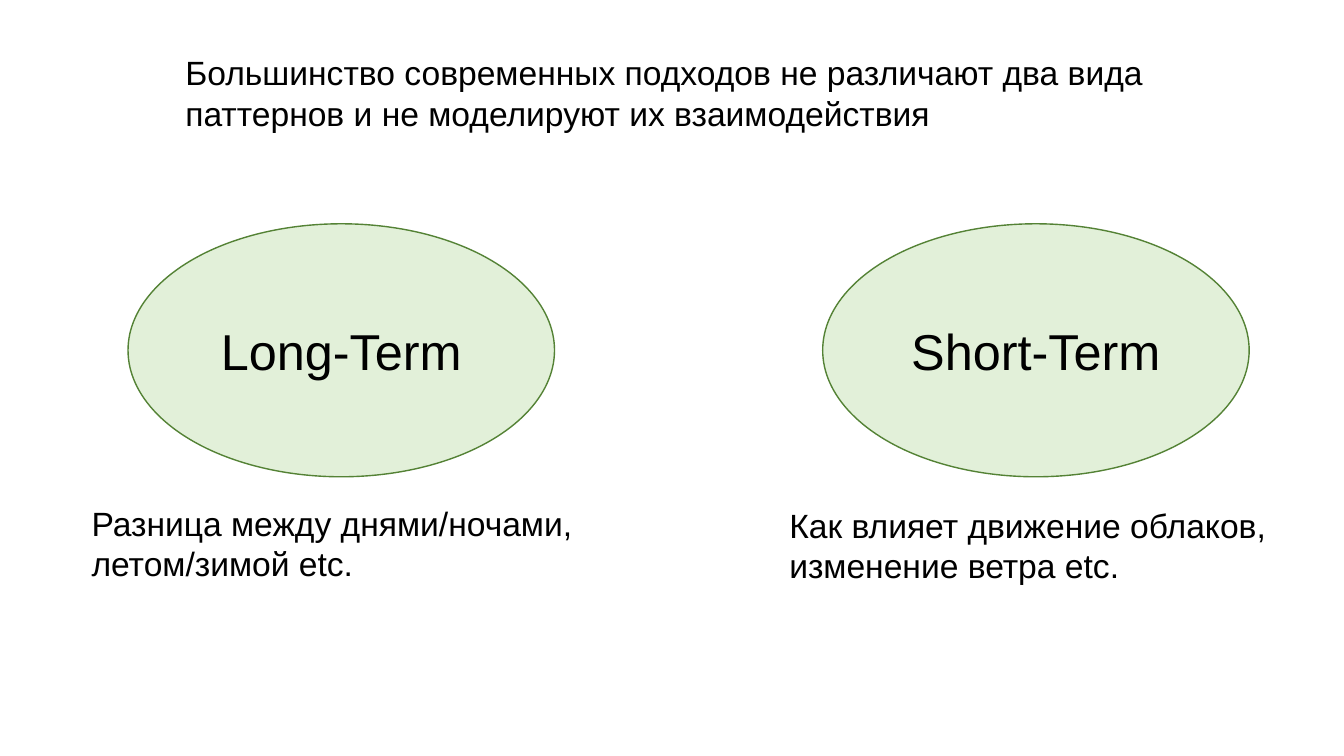
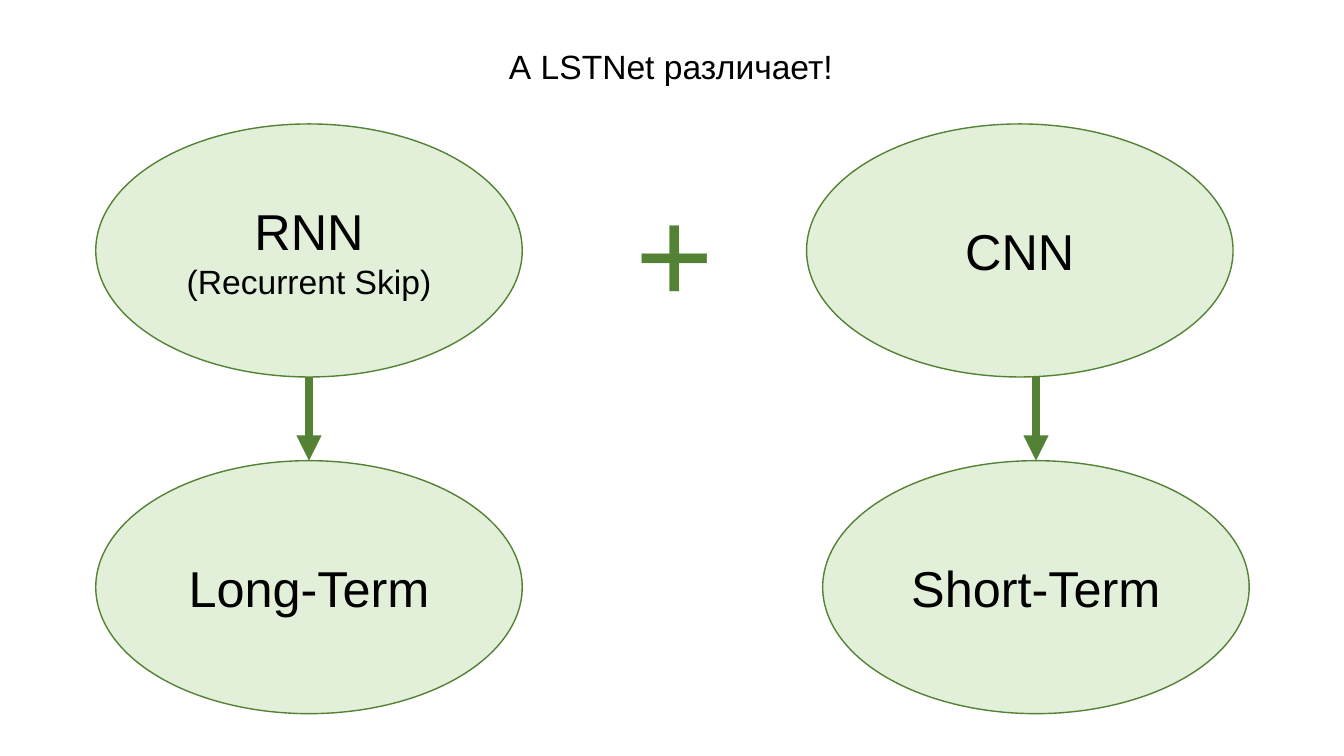
from lxml.etree import SubElement
from pptx import Presentation
from pptx.dml.color import RGBColor
from pptx.enum.shapes import MSO_CONNECTOR, MSO_SHAPE
from pptx.enum.text import MSO_ANCHOR, PP_ALIGN
from pptx.oxml.ns import qn
from pptx.util import Inches, Pt

COLORS = {"ink": "000000", "paper": "FFFFFF", "pale": "E2F0D9", "green": "548235"}
FONT = "Arial"
BODY, HEAD, SIGN = 24, 36, 96
OVAL_W, OVAL_H = 4.23, 2.51
LEFT, RIGHT = 0.95, 8.16


def color(name):
    """Return the named colour."""
    return RGBColor.from_string(COLORS[name])


def add_run(para, text, size, ink="ink"):
    """Add one styled run to a paragraph."""
    run = para.add_run()
    run.text = text
    run.font.name = FONT
    run.font.size = Pt(size)
    run.font.color.rgb = color(ink)


def add_page(deck):
    """Add a blank slide with the shared background."""
    slide = deck.slides.add_slide(deck.slide_layouts[6])
    slide.background.fill.solid()
    slide.background.fill.fore_color.rgb = color("paper")
    return slide


def add_text(slide, text, x, y, w, h, size=BODY, ink="ink"):
    """Add a wrapped text box."""
    box = slide.shapes.add_textbox(Inches(x), Inches(y), Inches(w), Inches(h))
    box.text_frame.word_wrap = True
    add_run(box.text_frame.paragraphs[0], text, size, ink)


def add_oval(slide, x, y, label, note=None):
    """Add a green oval with a label and an optional smaller note."""
    oval = slide.shapes.add_shape(
        MSO_SHAPE.OVAL, Inches(x), Inches(y), Inches(OVAL_W), Inches(OVAL_H))
    oval.shadow.inherit = False
    oval.fill.solid()
    oval.fill.fore_color.rgb = color("pale")
    oval.line.color.rgb = color("green")
    oval.line.width = Pt(1)
    frame = oval.text_frame
    frame.word_wrap = True
    frame.vertical_anchor = MSO_ANCHOR.MIDDLE
    add_run(frame.paragraphs[0], label, HEAD)
    if note:
        add_run(frame.add_paragraph(), note, BODY)
    for para in frame.paragraphs:
        para.alignment = PP_ALIGN.CENTER
    return oval


def add_arrow(slide, x, top, target):
    """Add a thick arrow down to the top of the target oval."""
    arrow = slide.shapes.add_connector(
        MSO_CONNECTOR.STRAIGHT, Inches(x), Inches(top), Inches(x), target.top)
    arrow.end_connect(target, 0)
    arrow.line.color.rgb = color("green")
    arrow.line.width = Pt(6)
    SubElement(arrow.line._get_or_add_ln(), qn("a:tailEnd"), type="triangle")
    SubElement(arrow._element.spPr, qn("a:effectLst"))


def add_terms(deck):
    """Build the slide on the two kinds of pattern."""
    slide = add_page(deck)
    add_text(slide, "Большинство современных подходов не различают два вида "
             "паттернов и не моделируют их взаимодействия", 1.74, 0.47, 9.86, 0.91)
    add_oval(slide, 1.27, 2.22, "Long-Term")
    add_oval(slide, RIGHT, 2.22, "Short-Term")
    add_text(slide, "Разница между днями/ночами, летом/зимой etc.",
             0.81, 4.94, 5.14, 0.91)
    add_text(slide, "Как влияет движение облаков, изменение ветра etc.",
             7.73, 4.96, 5.08, 0.91)


def add_model(deck):
    """Build the slide on the parts of the network."""
    slide = add_page(deck)
    top, low = 1.23, 4.57
    add_text(slide, "А LSTNet различает!", 4.95, 0.41, 3.5, 0.5)
    long = add_oval(slide, LEFT, low, "Long-Term")
    short = add_oval(slide, RIGHT, low, "Short-Term")
    add_oval(slide, 8, top, "CNN")
    add_oval(slide, LEFT, top, "RNN", "(Recurrent Skip)")
    for x, target in ((LEFT, long), (RIGHT, short)):
        add_arrow(slide, x + OVAL_W / 2, top + OVAL_H, target)
    add_text(slide, "+", 6.2, 1.63, 0.94, 1.72, SIGN, "green")


def main():
    """Build and save the slides."""
    deck = Presentation()
    deck.slide_width = Inches(13.33)
    deck.slide_height = Inches(7.5)
    add_terms(deck)
    add_model(deck)
    deck.save("out.pptx")


if __name__ == "__main__":
    main()
